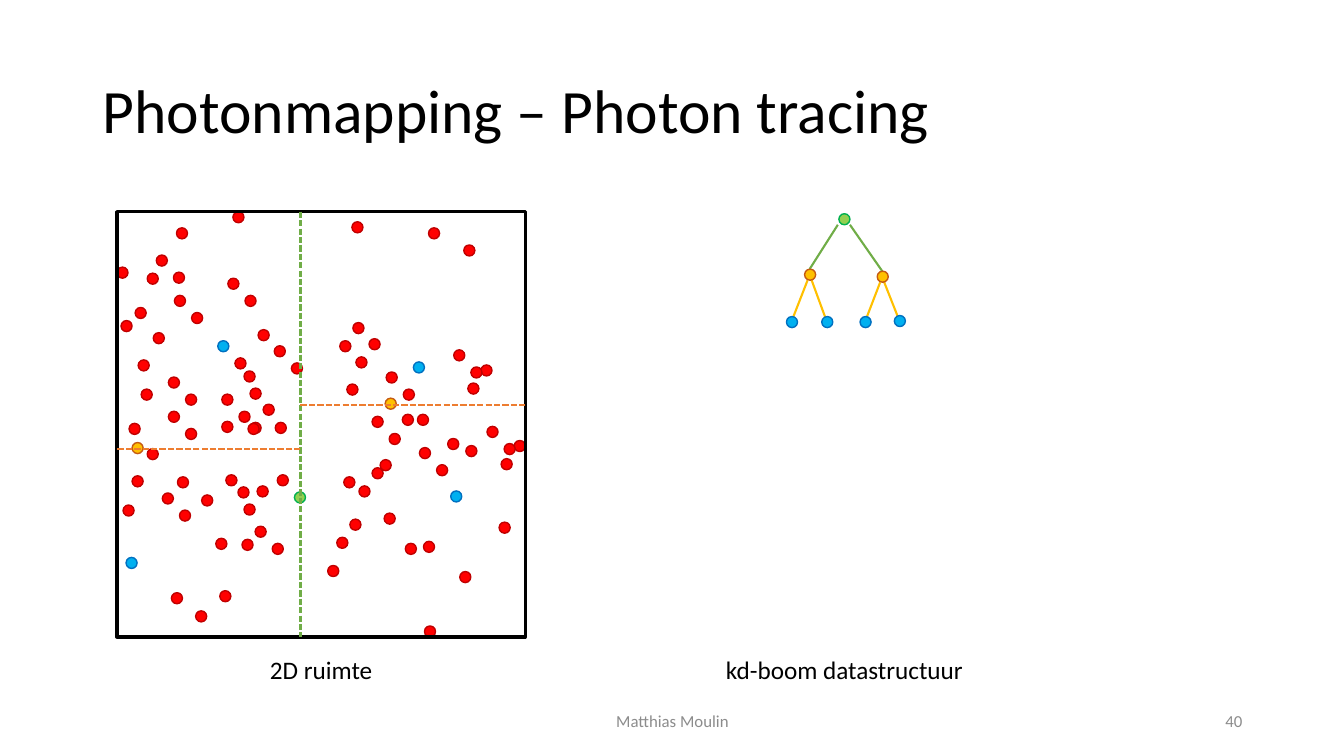
from lxml import etree
from pptx import Presentation
from pptx.dml.color import RGBColor
from pptx.enum.dml import MSO_LINE
from pptx.enum.shapes import MSO_CONNECTOR, MSO_SHAPE
from pptx.enum.text import MSO_ANCHOR, PP_ALIGN
from pptx.oxml.ns import qn
from pptx.util import Emu, Pt

LEFT, CENTER, RIGHT = PP_ALIGN.LEFT, PP_ALIGN.CENTER, PP_ALIGN.RIGHT
TOP, MIDDLE = MSO_ANCHOR.TOP, MSO_ANCHOR.MIDDLE
DASH = MSO_LINE.SQUARE_DOT
STRAIGHT = MSO_CONNECTOR.STRAIGHT
OVAL, RECTANGLE = MSO_SHAPE.OVAL, MSO_SHAPE.RECTANGLE

EMU_PER_PX = 9144
FONT = "Calibri"
BLACK, GRAY = "000000", "8C8C8C"
GREEN, ORANGE, GOLD = "70AD47", "ED7D31", "FFC000"
DOT_SIZE = 11
DOT_MIDDLE = DOT_SIZE // 2
PHOTON_STYLE = ("FF0000", "C00000")
ROOT_STYLE = ("92D050", "00B050")
CHILD_STYLE = (GOLD, "C55A11")
LEAF_STYLE = ("00B0F0", "0070C0")

PLANE_LEFT, PLANE_TOP, PLANE_WIDTH, PLANE_HEIGHT = 116, 210, 405, 422
PLANE_RIGHT, PLANE_BOTTOM = PLANE_LEFT + PLANE_WIDTH, PLANE_TOP + PLANE_HEIGHT
SPLIT_X, LEFT_SPLIT_Y, RIGHT_SPLIT_Y = 298, 445, 402
CAPTION_TOP, CAPTION_HEIGHT = 644, 40
FOOTER_TOP, FOOTER_HEIGHT = 695, 40

ANCHOR, WEST, EAST, NORTHEAST, SOUTHEAST = (
    (0, 0), (-39, 12), (81, 11), (94, -7), (17, 17))
CLUSTER = (ANCHOR, WEST, EAST, NORTHEAST, SOUTHEAST)
TRIANGLE = (ANCHOR, WEST, SOUTHEAST)
DIAGONAL = (ANCHOR, SOUTHEAST)
PHOTON_PATTERNS = [
    (CLUSTER, [(272, 343), (253, 522), (383, 369), (416, 444), (161, 489),
               (167, 408)]),
    ((ANCHOR, WEST, EAST, NORTHEAST), [(275, 471)]),
    ((ANCHOR, EAST, NORTHEAST), [(256, 327)]),
    ((ANCHOR, EAST, SOUTHEAST), [(167, 374)]),
    (TRIANGLE, [(173, 293), (155, 253), (483, 423)]),
    (DIAGONAL, [(226, 276), (220, 391), (450, 347), (369, 413)]),
    ((ANCHOR,), [
        (231, 210), (175, 226), (146, 271), (120, 318), (152, 330),
        (137, 357), (242, 368), (140, 386), (220, 418), (246, 420),
        (273, 419), (146, 445), (131, 472), (176, 473), (224, 471),
        (200, 491), (240, 535), (218, 586), (170, 588), (194, 606),
        (349, 220), (425, 226), (460, 243), (399, 411), (414, 411),
        (462, 442), (341, 473), (381, 509), (495, 518), (420, 537),
        (402, 539), (325, 561), (456, 567), (421, 621)]),
]

SPACE_ROOT = (292, 488)
SPACE_CHILDREN = [(131, 439), (382, 395)]
SPACE_LEAVES = [(216, 338), (125, 553), (410, 359), (447, 487)]
TREE_ROOT = (832, 212)
TREE_CHILDREN = [(798, 267), (870, 269)]
TREE_LEAVES = [(780, 314), (815, 314), (853, 314), (887, 313)]


def px(*lengths):
    """Turn whole pixels into EMU lengths."""
    return [Emu(length * EMU_PER_PX) for length in lengths]


def color(value):
    """Return the colour for a hex string."""
    return RGBColor.from_string(value)


def add_text(slide, text, box, size=18, ink=BLACK, align=CENTER,
             anchor=TOP, spacing=None):
    """Add a wrapped text box with one formatted paragraph."""
    frame = slide.shapes.add_textbox(*px(*box)).text_frame
    frame.word_wrap = True
    frame.vertical_anchor = anchor
    paragraph = frame.paragraphs[0]
    paragraph.alignment = align
    paragraph.line_spacing = spacing
    run = paragraph.add_run()
    run.text = text
    run.font.name = FONT
    run.font.size = Pt(size)
    run.font.color.rgb = color(ink)


def add_outlined(slide, kind, box, line, width, fill=None):
    """Add a preset shape with an outline and an optional fill."""
    shape = slide.shapes.add_shape(kind, *px(*box))
    shape.shadow.inherit = False
    if fill:
        shape.fill.solid()
        shape.fill.fore_color.rgb = color(fill)
    else:
        shape.fill.background()
    shape.line.color.rgb = color(line)
    shape.line.width = Pt(width)


def add_dots(slide, style, places):
    """Add equal dots in one style at the given top left corners."""
    fill, line = style
    for left, top in places:
        add_outlined(slide, OVAL, (left, top, DOT_SIZE, DOT_SIZE), line, 1, fill)


def add_line(slide, ink, start, end, dash=None):
    """Add a straight line, solid or dashed."""
    connector = slide.shapes.add_connector(STRAIGHT, *px(*start, *end))
    connector.line.color.rgb = color(ink)
    connector.line.width = Pt(1.5)
    connector.line.dash_style = dash
    etree.SubElement(connector.element.spPr, qn("a:effectLst"))


def add_nodes(slide, root, children, leaves):
    """Add the dots of the three tree levels."""
    add_dots(slide, ROOT_STYLE, [root])
    add_dots(slide, CHILD_STYLE, children)
    add_dots(slide, LEAF_STYLE, leaves)


def add_branches(slide, ink, parent, children, spread, drop):
    """Join a parent to its left and right child, ending drop below their tops."""
    left, top = parent
    for side, (child_left, child_top) in zip((-1, 1), children):
        start = (left + DOT_MIDDLE + side * spread, top + DOT_SIZE)
        end = (child_left + DOT_MIDDLE, child_top + drop)
        add_line(slide, ink, start, end)


def place_photons():
    """Repeat each pattern of offsets at each of its anchors."""
    return [(left + right_by, top + down_by)
            for pattern, anchors in PHOTON_PATTERNS
            for left, top in anchors
            for right_by, down_by in pattern]


def add_space(slide):
    """Draw the photons in the divided plane."""
    add_dots(slide, PHOTON_STYLE, place_photons())
    add_nodes(slide, SPACE_ROOT, SPACE_CHILDREN, SPACE_LEAVES)
    plane = (PLANE_LEFT, PLANE_TOP, PLANE_WIDTH, PLANE_HEIGHT)
    add_outlined(slide, RECTANGLE, plane, BLACK, 2.25)
    add_line(slide, GREEN, (SPLIT_X, PLANE_TOP), (SPLIT_X, PLANE_BOTTOM), DASH)
    for edge, split_y in ((PLANE_RIGHT, RIGHT_SPLIT_Y), (PLANE_LEFT, LEFT_SPLIT_Y)):
        add_line(slide, ORANGE, (SPLIT_X, split_y), (edge, split_y), DASH)
    add_text(slide, "2D ruimte",
             (PLANE_LEFT, CAPTION_TOP, PLANE_WIDTH, CAPTION_HEIGHT))


def add_tree(slide):
    """Draw the tree that matches the divisions."""
    add_branches(slide, GREEN, TREE_ROOT, TREE_CHILDREN, spread=6, drop=0)
    for index, child in enumerate(TREE_CHILDREN):
        leaves = TREE_LEAVES[2 * index:2 * index + 2]
        add_branches(slide, GOLD, child, leaves, spread=2, drop=DOT_MIDDLE)
    add_nodes(slide, TREE_ROOT, TREE_CHILDREN, TREE_LEAVES)
    add_text(slide, "kd-boom datastructuur",
             (705, CAPTION_TOP, 265, CAPTION_HEIGHT))


def main():
    """Build and save the slide."""
    presentation = Presentation()
    presentation.slide_width, presentation.slide_height = px(1333, 750)
    slide = presentation.slides.add_slide(presentation.slide_layouts[6])
    add_text(slide, "Photonmapping – Photon tracing", (92, 40, 1150, 145),
             size=44, align=LEFT, anchor=MIDDLE, spacing=0.9)
    for text, left, width, align in (("Matthias Moulin", 442, 450, CENTER),
                                     ("40", 942, 300, RIGHT)):
        add_text(slide, text, (left, FOOTER_TOP, width, FOOTER_HEIGHT),
                 size=12, ink=GRAY, align=align, anchor=MIDDLE)
    add_space(slide)
    add_tree(slide)
    presentation.save("out.pptx")


if __name__ == "__main__":
    main()
